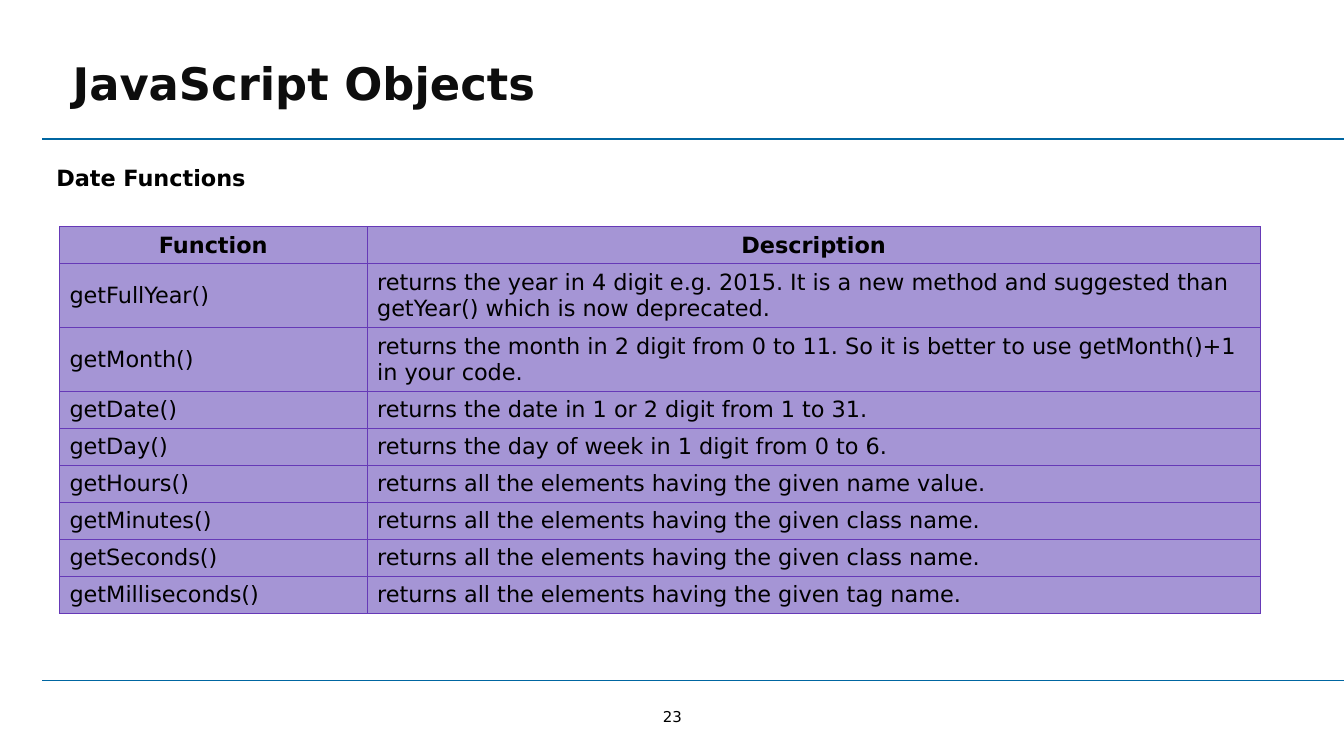
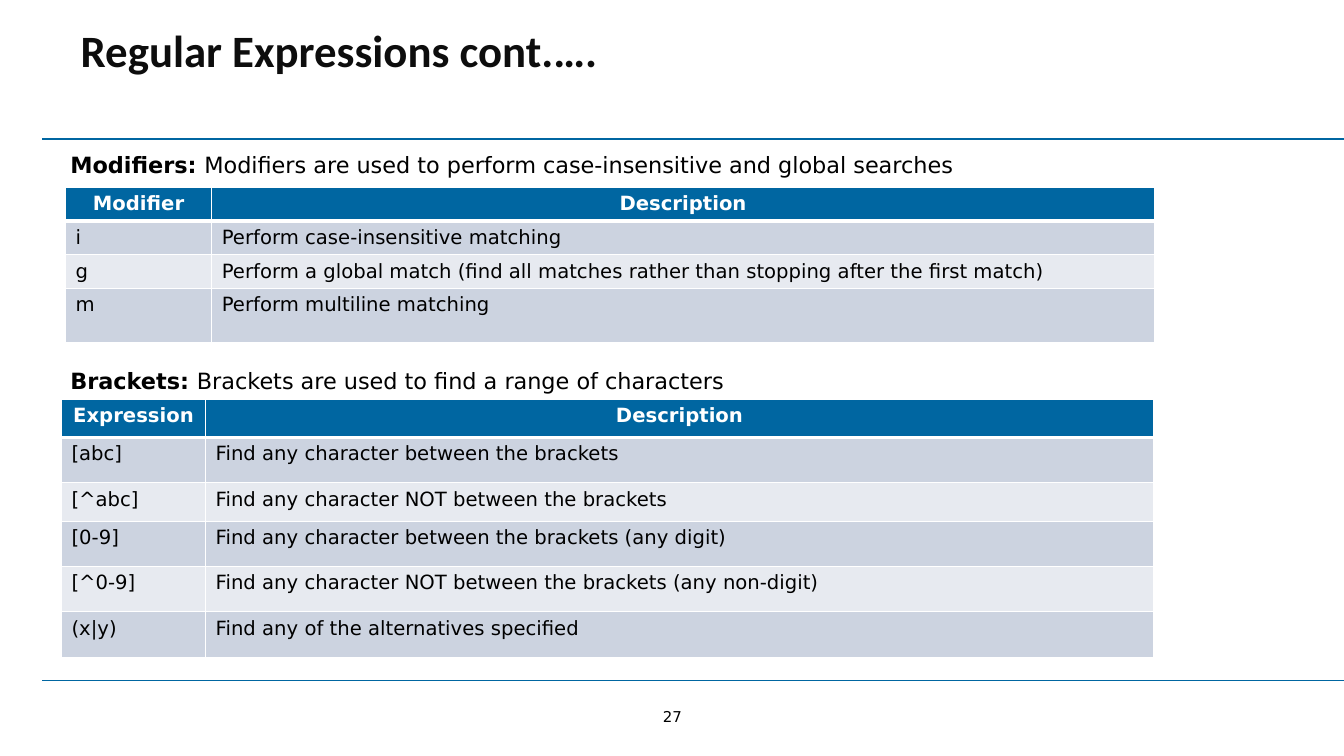
from dataclasses import dataclass

from lxml import etree
from pptx import Presentation
from pptx.dml.color import RGBColor
from pptx.enum import shapes, text
from pptx.oxml import ns
from pptx.util import Inches, Pt


@dataclass(frozen=True)
class Theme:
    font: str = "DejaVu Sans"
    ink: str = "000000"
    head: str = "0D0D0D"
    blue: str = "0066A1"
    white: str = "FFFFFF"
    violet: str = "A595D5"
    grape: str = "6639B7"
    bands: tuple = ("CCD3E0", "E7EAF0")
    title: float = 32
    body: float = 16
    small: float = 14
    page: float = 10.7


T = Theme()
LEFT, MID, BOTH = text.PP_ALIGN.LEFT, text.PP_ALIGN.CENTER, text.PP_ALIGN.JUSTIFY
TOP, CENTRE = text.MSO_ANCHOR.TOP, text.MSO_ANCHOR.MIDDLE

# Table styles: body size, anchor, header fill and ink, body fills, edge colour and widths
PLAIN = dict(size=T.body, anchor=CENTRE, head=T.violet, ink=T.ink,
             fills=(T.violet,), edge=T.grape, thin=0.5, thick=0.5)
BANDED = dict(size=T.small, anchor=TOP, head=T.blue, ink=T.white,
              fills=T.bands, edge=T.white, thin=1, thick=3)

DATES = [
    ("Function", "Description"),
    ("getFullYear()", "returns the year in 4 digit e.g. 2015. It is a new method and "
                      "suggested than getYear() which is now deprecated."),
    ("getMonth()", "returns the month in 2 digit from 0 to 11. So it is better to use "
                   "getMonth()+1 in your code."),
    ("getDate()", "returns the date in 1 or 2 digit from 1 to 31."),
    ("getDay()", "returns the day of week in 1 digit from 0 to 6."),
    ("getHours()", "returns all the elements having the given name value."),
    ("getMinutes()", "returns all the elements having the given class name."),
    ("getSeconds()", "returns all the elements having the given class name."),
    ("getMilliseconds()", "returns all the elements having the given tag name."),
]
MODIFIERS = [
    ("Modifier", "Description"),
    ("i", "Perform case-insensitive matching"),
    ("g", "Perform a global match (find all matches rather than stopping after the first match)"),
    ("m", "Perform multiline matching"),
]
BRACKETS = [
    ("Expression", "Description"),
    ("[abc]", "Find any character between the brackets"),
    ("[^abc]", "Find any character NOT between the brackets"),
    ("[0-9]", "Find any character between the brackets (any digit)"),
    ("[^0-9]", "Find any character NOT between the brackets (any non-digit)"),
    ("(x|y)", "Find any of the alternatives specified"),
]

SLIDES = [
    dict(
        title="JavaScript Objects", font=T.font, at=(0.62, 0.5), page="23",
        captions=[((0.46, 1.58, 2.15), LEFT, [("Date Functions", True)])],
        tables=[dict(rows=DATES, at=(0.59, 2.25), cols=(3.05, 8.86), look=PLAIN,
                     tall=[0.36] + [0.62] * 2 + [0.36] * 6)],
    ),
    dict(
        title="Regular Expressions cont.….", font="Calibri", at=(0.7, 0.18), page="27",
        captions=[
            ((0.6, 1.45, 11.79), BOTH,
             [("Modifiers: ", True),
              ("Modifiers are used to perform case-insensitive and global searches", False)]),
            ((0.6, 3.59, 11.79), BOTH,
             [("Brackets: ", True),
              ("Brackets are used to find a range of characters", False)]),
        ],
        tables=[
            dict(rows=MODIFIERS, at=(0.65, 1.86), cols=(1.45, 9.35), look=BANDED,
                 tall=(0.31, 0.29, 0.31, 0.54)),
            dict(rows=BRACKETS, at=(0.61, 3.96), cols=(1.43, 9.4), look=BANDED,
                 tall=(0.38, 0.45, 0.38, 0.45, 0.45, 0.45)),
        ],
    ),
]


def write(frame, runs, size=T.body, font=T.font, color=T.ink, align=LEFT,
          anchor=TOP, wrap=True):
    """Fill a text frame with one paragraph of (words, bold) runs."""
    frame.word_wrap = wrap
    frame.vertical_anchor = anchor
    para = frame.paragraphs[0]
    para.alignment = align
    for words, bold in runs:
        run = para.add_run()
        run.text = words
        run.font.size, run.font.name, run.font.bold = Pt(size), font, bold
        run.font.color.rgb = RGBColor.from_string(color)


def place(shape, left, top, width, height):
    shape.left, shape.top = Inches(left), Inches(top)
    shape.width, shape.height = Inches(width), Inches(height)


def rule(slide, y):
    line = slide.shapes.add_connector(
        shapes.MSO_CONNECTOR.STRAIGHT, Inches(0.42), Inches(y), Inches(13.33), Inches(y))
    line.line.color.rgb = RGBColor.from_string(T.blue)
    line.line.width = Pt(1.25)
    etree.SubElement(line._element.spPr, ns.qn("a:effectLst"))


def edges(cell, color, widths):
    """Draw the left, right, top and bottom borders of a cell."""
    props = cell._tc.get_or_add_tcPr()
    for side, width in zip("LRTB", widths):
        line = etree.SubElement(props, ns.qn(f"a:ln{side}"), w=str(Pt(width)))
        fill = etree.SubElement(line, ns.qn("a:solidFill"))
        etree.SubElement(fill, ns.qn("a:srgbClr"), val=color)


def grid(slide, rows, at, cols, tall, look):
    table = slide.shapes.add_table(
        len(rows), len(cols), Inches(at[0]), Inches(at[1]),
        Inches(sum(cols)), Inches(sum(tall))).table
    table.horz_banding = False
    for col, width in zip(table.columns, cols):
        col.width = Inches(width)
    thin, thick, fills = look["thin"], look["thick"], look["fills"]
    for r, row in enumerate(rows):
        table.rows[r].height = Inches(tall[r])
        top = r == 0
        fill = look["head"] if top else fills[(r - 1) % len(fills)]
        widths = (thin, thin, thick if r == 1 else thin, thick if top else thin)
        for c, words in enumerate(row):
            cell = table.cell(r, c)
            edges(cell, look["edge"], widths)
            cell.fill.solid()
            cell.fill.fore_color.rgb = RGBColor.from_string(fill)
            cell.vertical_anchor = look["anchor"]
            write(cell.text_frame, [(words, top)], size=look["size"], anchor=look["anchor"],
                  color=look["ink"] if top else T.ink, align=MID if top else LEFT)


def label(slide, at, runs, **form):
    box = slide.shapes.add_textbox(*map(Inches, at))
    write(box.text_frame, runs, **form)
    return box.text_frame


def frame(slide, title, font, at, page):
    """Add the title, the two rules and the page number."""
    place(slide.shapes.title, *at, 11.15, 0.64)
    write(slide.shapes.title.text_frame, [(title, True)], size=T.title, font=font, color=T.head)
    slide.shapes.title.text_frame.auto_size = text.MSO_AUTO_SIZE.NONE
    for y in (1.38, 6.75):
        rule(slide, y)
    foot = label(slide, (6.54, 7.02, 0.26, 0.18), [(page, False)], size=T.page,
                 align=MID, anchor=CENTRE, wrap=False)
    foot.margin_left = foot.margin_right = foot.margin_top = foot.margin_bottom = 0


def main():
    deck = Presentation()
    deck.slide_width, deck.slide_height = Inches(13.33), Inches(7.5)
    for data in SLIDES:
        slide = deck.slides.add_slide(deck.slide_layouts.get_by_name("Title Only"))
        frame(slide, data["title"], data["font"], data["at"], data["page"])
        for at, align, runs in data["captions"]:
            label(slide, (*at, 0.37), runs, align=align)
        for table in data["tables"]:
            grid(slide, **table)
    deck.save("out.pptx")


if __name__ == "__main__":
    main()
